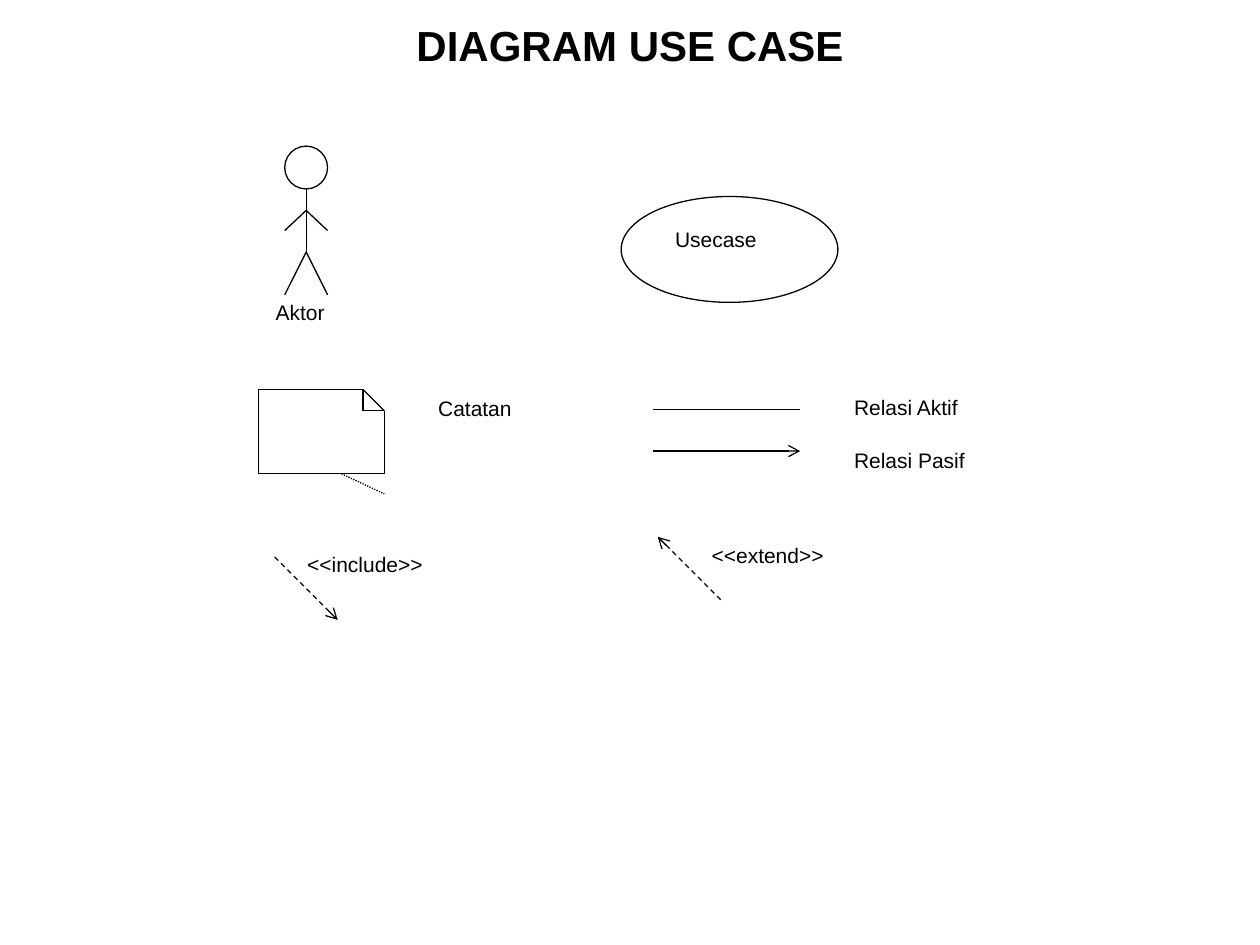
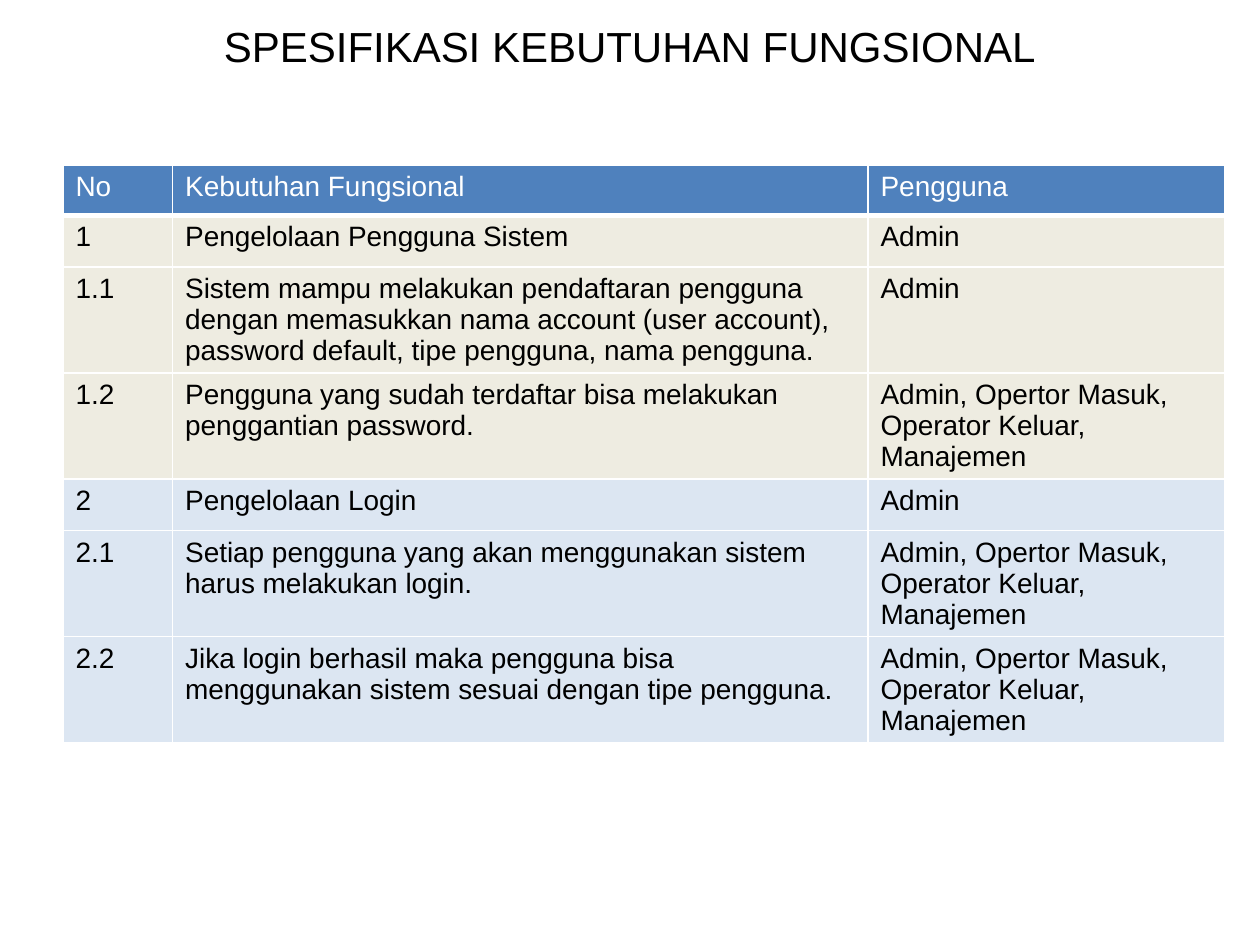
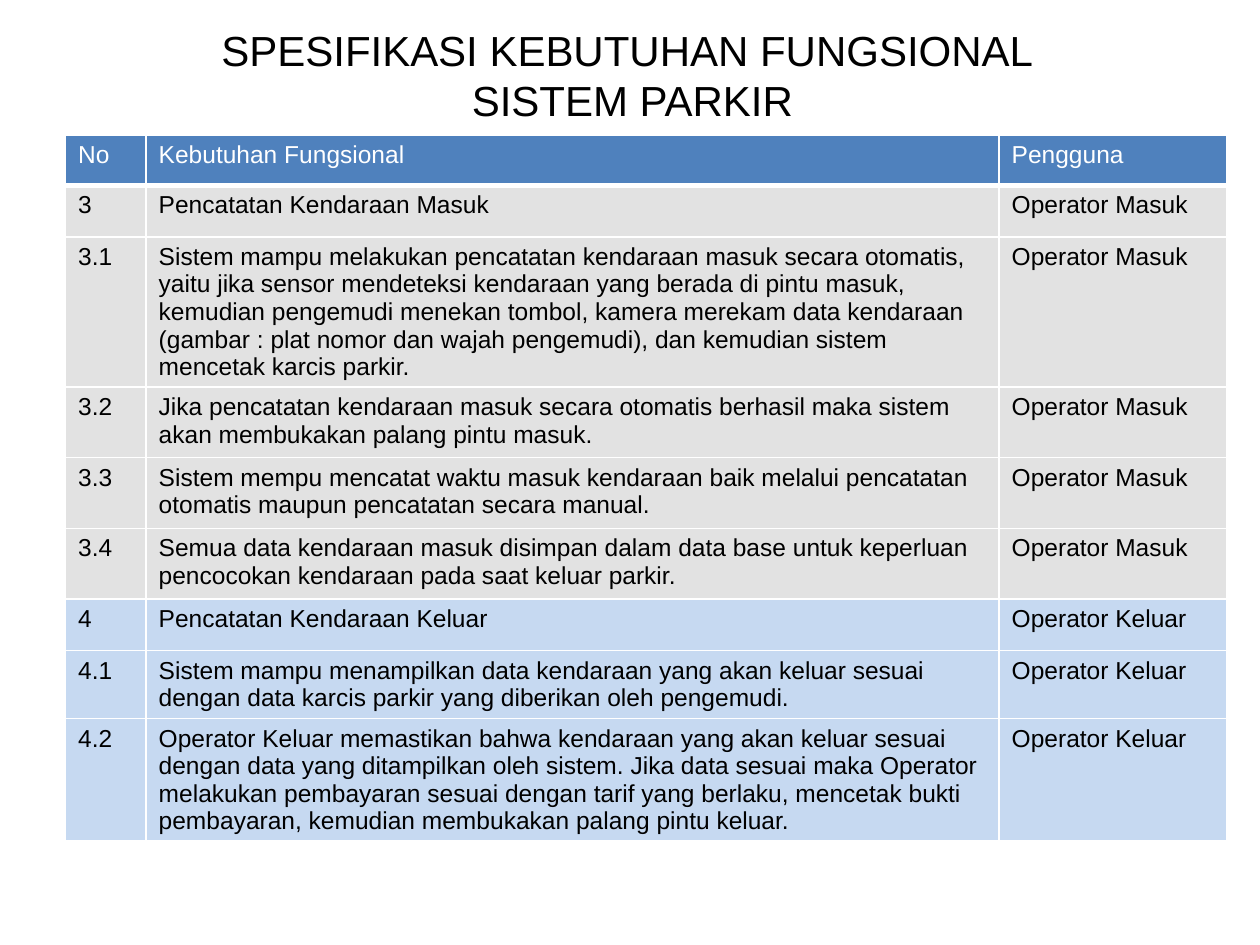
from itertools import pairwise

from lxml.etree import SubElement as Sub
from pptx import Presentation
from pptx.dml.color import RGBColor
from pptx.enum.dml import MSO_LINE as Dash
from pptx.enum.shapes import MSO_CONNECTOR as Conn, MSO_SHAPE as Shape
from pptx.enum.text import MSO_ANCHOR as Anchor, MSO_AUTO_SIZE as Fit, PP_ALIGN as Align
from pptx.oxml.ns import qn
from pptx.util import Inches, Pt

BLACK, WHITE, BLUE = "000000", "FFFFFF", "4F81BD"
CREAM, PALE, GREY, SKY = "EEECE1", "DCE6F2", "E2E2E2", "C6D9F1"
FONT = "Arial"
HEAD = ("No", "Kebutuhan Fungsional", "Pengguna")


def rgb(code):
    return RGBColor.from_string(code)


def write(frame, text, size=12, color=BLACK, bold=False, align=Align.LEFT):
    frame.text = text
    for para in frame.paragraphs:
        para.alignment = align
        for run in para.runs:
            font = run.font
            font.name, font.size, font.bold = FONT, Pt(size), bold
            font.color.rgb = rgb(color)


def edge(cell, base):
    """Give a cell white borders; base is the width of the lower one."""
    props = cell._tc.get_or_add_tcPr()
    for side, width in (("L", 1), ("R", 1), ("T", 1), ("B", base)):
        line = Sub(props, qn(f"a:ln{side}"), w=str(Pt(width)))
        Sub(Sub(line, qn("a:solidFill")), qn("a:srgbClr"), val=WHITE)


class Deck:
    def __init__(self):
        self.prs = Presentation()
        self.prs.slide_width, self.prs.slide_height = Inches(10), Inches(7.5)
        self.shapes = None

    def slide(self, title, left, top, height, bold=False):
        """Start a slide with its title."""
        layout = self.prs.slide_layouts[5]
        self.shapes = self.prs.slides.add_slide(layout).shapes
        box = self.shapes.title
        box.left, box.top = Inches(left), Inches(top)
        box.width, box.height = Inches(9), Inches(height)
        frame = box.text_frame
        frame.auto_size, frame.vertical_anchor = Fit.NONE, Anchor.MIDDLE
        write(frame, title, size=24, bold=bold, align=Align.CENTER)

    def label(self, text, left, top, width=1.5, height=0.5):
        box = self.shapes.add_textbox(*map(Inches, (left, top, width, height)))
        box.text_frame.word_wrap = True
        write(box.text_frame, text)

    def oval(self, left, top, width, height):
        oval = self.shapes.add_shape(
            Shape.OVAL, *map(Inches, (left, top, width, height)))
        oval.shadow.inherit = False
        oval.fill.solid()
        oval.fill.fore_color.rgb = rgb(WHITE)
        oval.line.color.rgb = rgb(BLACK)
        oval.line.width = Pt(0.75)

    def line(self, start, end, dash=None, arrow=False):
        link = self.shapes.add_connector(
            Conn.STRAIGHT, *map(Inches, (*start, *end)))
        link.line.color.rgb = rgb(BLACK)
        link.line.width = Pt(0.75)
        if dash:
            link.line.dash_style = dash
        props = link.element.spPr
        if arrow:
            Sub(props.find(qn("a:ln")), qn("a:tailEnd"), type="arrow")
        Sub(props, qn("a:effectLst"))

    def chain(self, *points):
        """Join the points in turn with straight lines."""
        for start, end in pairwise(points):
            self.line(start, end)

    def actor(self, mid, top):
        side, neck, arm, hip = 0.17, top + 0.34, top + 0.51, top + 0.84
        self.oval(mid - side, top, 2 * side, 2 * side)
        self.line((mid, neck), (mid, hip))
        for joint, drop in ((arm, 0.16), (hip, 0.34)):
            for x in (mid - side, mid + side):
                self.line((mid, joint), (x, joint + drop))

    def note(self, left, top, width, height, fold=0.17):
        right, base = left + width, top + height
        crease, low = right - fold, top + fold
        self.chain((crease, top), (left, top), (left, base), (right, base),
                   (right, low), (crease, top), (crease, low), (right, low))

    def table(self, left, top, cols, size, groups):
        """Draw the header, then groups of (fill, rows); a row is (height, cells)."""
        rows = [(BLUE, WHITE, 3, 0.4, HEAD)]
        rows += [(fill, BLACK, 1, high, cells)
                 for fill, part in groups for high, cells in part]
        tall = sum(row[3] for row in rows)
        grid = self.shapes.add_table(
            len(rows), len(cols),
            *map(Inches, (left, top, sum(cols), tall))).table
        for col, width in zip(grid.columns, cols):
            col.width = Inches(width)
        for row, (fill, color, base, high, texts) in zip(grid.rows, rows):
            row.height = Inches(high)
            for cell, text in zip(row.cells, texts):
                edge(cell, base)
                cell.fill.solid()
                cell.fill.fore_color.rgb = rgb(fill)
                write(cell.text_frame, text, size=size, color=color)


def symbols(deck):
    deck.slide("DIAGRAM USE CASE", 0.5, 0.17, 0.37, bold=True)
    deck.oval(4.93, 1.56, 1.72, 0.84)
    deck.actor(2.43, 1.16)
    deck.note(2.05, 3.09, 1, 0.67)
    deck.line((2.71, 3.76), (3.05, 3.92), dash=Dash.ROUND_DOT)
    deck.line((5.18, 3.25), (6.35, 3.25))
    deck.line((5.18, 3.58), (6.35, 3.58), arrow=True)
    deck.line((2.18, 4.42), (2.68, 4.92), dash=Dash.DASH, arrow=True)
    deck.line((5.72, 4.76), (5.22, 4.26), dash=Dash.DASH, arrow=True)
    deck.label("Aktor", 2.09, 2.33, 1, 0.33)
    deck.label("Usecase", 5.26, 1.75, 1)
    deck.label("Catatan", 3.38, 3.09, 1)
    deck.label("Relasi Aktif", 6.68, 3.08, height=0.33)
    deck.label("Relasi Pasif", 6.68, 3.5, height=0.33)
    deck.label("<<include>>", 2.34, 4.33)
    deck.label("<<extend>>", 5.55, 4.26)


def access(deck):
    admin, team = "Admin", "Admin, Opertor Masuk, Operator Keluar, Manajemen"
    deck.slide("SPESIFIKASI KEBUTUHAN FUNGSIONAL", 0.5, 0.13, 0.47)
    deck.table(0.5, 1.31, (0.87, 5.52, 2.83), 16, (
        (CREAM, (
            (0.41, ("1", "Pengelolaan Pengguna Sistem", admin)),
            (0.84, ("1.1", "Sistem mampu melakukan pendaftaran pengguna dengan "
                    "memasukkan nama account (user account), password default, "
                    "tipe pengguna, nama pengguna.", admin)),
            (0.84, ("1.2", "Pengguna yang sudah terdaftar bisa melakukan "
                    "penggantian password.", team)))),
        (PALE, (
            (0.41, ("2", "Pengelolaan Login", admin)),
            (0.84, ("2.1", "Setiap pengguna yang akan menggunakan sistem harus "
                    "melakukan login.", team)),
            (0.84, ("2.2", "Jika login berhasil maka pengguna bisa menggunakan "
                    "sistem sesuai dengan tipe pengguna.", team))))))


def parking(deck):
    enter, leave = "Operator Masuk", "Operator Keluar"
    deck.slide("SPESIFIKASI KEBUTUHAN FUNGSIONAL \vSISTEM PARKIR",
               0.52, 0.36, 0.47)
    deck.table(0.52, 1.07, (0.64, 6.77, 1.81), 14, (
        (GREY, (
            (0.41, ("3", "Pencatatan Kendaraan Masuk", enter)),
            (1.19, ("3.1", "Sistem mampu melakukan pencatatan kendaraan masuk "
                    "secara otomatis, yaitu jika sensor mendeteksi kendaraan "
                    "yang berada di pintu masuk, kemudian pengemudi menekan "
                    "tombol, kamera merekam data kendaraan (gambar : plat nomor "
                    "dan wajah pengemudi), dan kemudian sistem mencetak karcis "
                    "parkir.", enter)),
            (0.56, ("3.2", "Jika pencatatan kendaraan masuk secara otomatis "
                    "berhasil maka sistem akan membukakan palang pintu masuk.",
                    enter)),
            (0.56, ("3.3", "Sistem mempu mencatat waktu masuk kendaraan baik "
                    "melalui pencatatan otomatis maupun pencatatan secara "
                    "manual.", enter)),
            (0.56, ("3.4", "Semua data kendaraan masuk disimpan dalam data base "
                    "untuk keperluan pencocokan kendaraan pada saat keluar "
                    "parkir.", enter)))),
        (SKY, (
            (0.41, ("4", "Pencatatan Kendaraan Keluar", leave)),
            (0.54, ("4.1", "Sistem mampu menampilkan data kendaraan yang akan "
                    "keluar sesuai dengan data karcis parkir yang diberikan "
                    "oleh pengemudi.", leave)),
            (0.97, ("4.2", "Operator Keluar memastikan bahwa kendaraan yang akan "
                    "keluar sesuai dengan data yang ditampilkan oleh sistem. "
                    "Jika data sesuai maka Operator melakukan pembayaran sesuai "
                    "dengan tarif yang berlaku, mencetak bukti pembayaran, "
                    "kemudian membukakan palang pintu keluar.", leave))))))


def main():
    deck = Deck()
    for build in (symbols, access, parking):
        build(deck)
    deck.prs.save("out.pptx")


if __name__ == "__main__":
    main()
